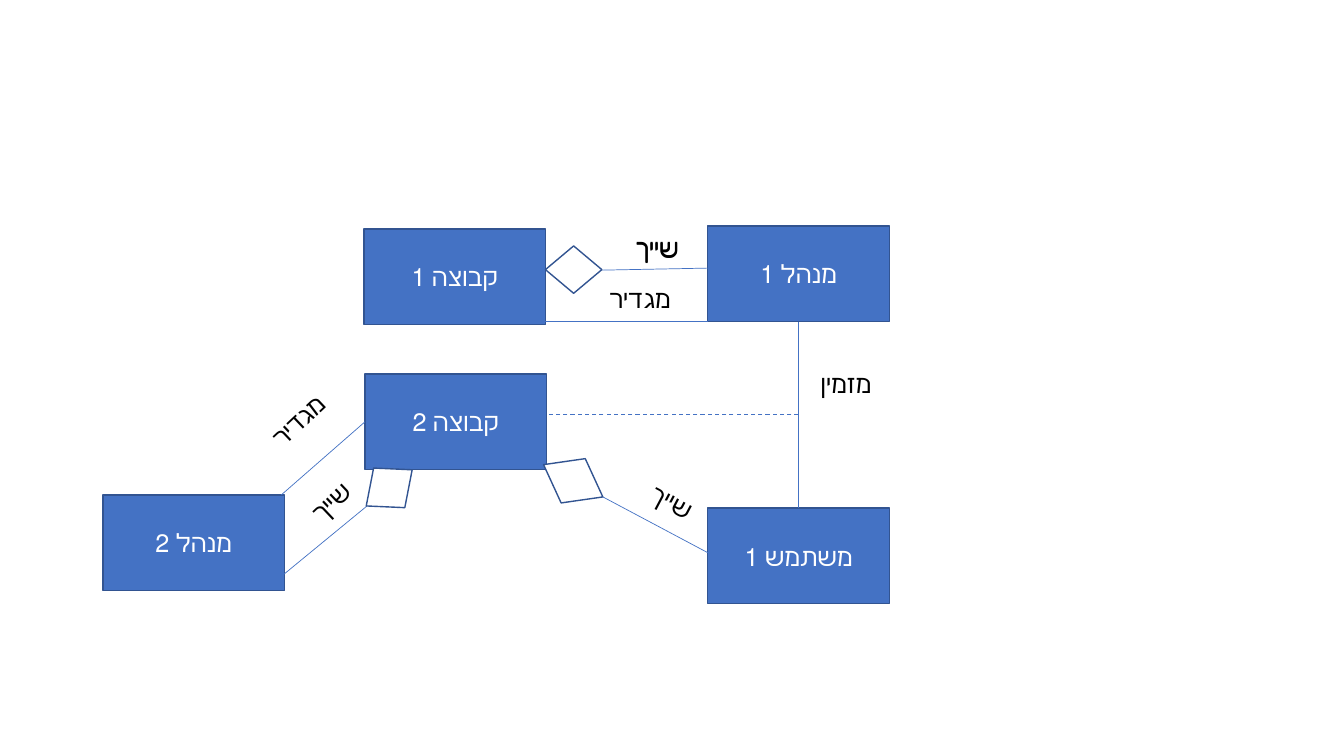
from collections import namedtuple

from pptx import Presentation
from pptx.dml.color import RGBColor
from pptx.enum.dml import MSO_LINE
from pptx.enum.shapes import MSO_CONNECTOR, MSO_SHAPE
from pptx.enum.text import MSO_ANCHOR, MSO_AUTO_SIZE, PP_ALIGN
from pptx.oxml.xmlchemy import OxmlElement
from pptx.util import Inches, Pt

BLUE = RGBColor(0x44, 0x72, 0xC4)
NAVY = RGBColor(0x32, 0x54, 0x91)
WHITE = RGBColor(0xFF, 0xFF, 0xFF)
BLACK = RGBColor(0x00, 0x00, 0x00)
RECT, DIAMOND = MSO_SHAPE.RECTANGLE, MSO_SHAPE.DIAMOND
STRAIGHT, DASH = MSO_CONNECTOR.STRAIGHT, MSO_LINE.DASH
CENTER, RIGHT = PP_ALIGN.CENTER, PP_ALIGN.RIGHT
MIDDLE, FIT_SHAPE = MSO_ANCHOR.MIDDLE, MSO_AUTO_SIZE.SHAPE_TO_FIT_TEXT

ENTITY_W, ENTITY_H = 1.8, 0.95
LABEL_W, LABEL_H = 0.86, 0.4
BELONGS, DEFINES, INVITES = "שייך", "מגדיר", "מזמין"


class Box(namedtuple("Box", "x y")):
    """Top left corner of an entity, with its other edges."""

    @property
    def right(self):
        """Right edge."""
        return self.x + ENTITY_W

    @property
    def bottom(self):
        """Bottom edge."""
        return self.y + ENTITY_H

    @property
    def center(self):
        """Horizontal middle."""
        return self.x + ENTITY_W / 2

    @property
    def middle(self):
        """Vertical middle."""
        return self.y + ENTITY_H / 2


def write(tf, text, color=BLACK, align=RIGHT, size=18, font="Calibri"):
    """Write one right-to-left paragraph in a text frame."""
    tf.word_wrap = True
    p = tf.paragraphs[0]
    p.alignment = align
    p._p.get_or_add_pPr().set("rtl", "1")
    r = p.add_run()
    r.text = text
    r.font.size, r.font.name = Pt(size), font
    r.font.color.rgb = color


def add_figure(slide, kind, x, y, w, h, fill, rotation=0):
    """Add an outlined preset shape."""
    sp = slide.shapes.add_shape(kind, Inches(x), Inches(y), Inches(w), Inches(h))
    sp.shadow.inherit = False
    sp.fill.solid()
    sp.fill.fore_color.rgb = fill
    sp.line.color.rgb = NAVY
    sp.line.width = Pt(1)
    sp.rotation = rotation
    return sp


def add_entity(slide, box, text):
    """Add a blue entity with its name."""
    sp = add_figure(slide, RECT, box.x, box.y, ENTITY_W, ENTITY_H, BLUE)
    sp.text_frame.vertical_anchor = MIDDLE
    write(sp.text_frame, text, color=WHITE, align=CENTER)


def add_link(slide, x1, y1, x2, y2, width=0.5, dash=None):
    """Add a straight blue line."""
    line = slide.shapes.add_connector(
        STRAIGHT, Inches(x1), Inches(y1), Inches(x2), Inches(y2))
    line.line.color.rgb = BLUE
    line.line.width = Pt(width)
    if dash:
        line.line.dash_style = dash
    line._element.spPr.append(OxmlElement("a:effectLst"))


def add_label(slide, x, y, text, width=LABEL_W, rotation=0):
    """Add the name of a relation."""
    sp = slide.shapes.add_textbox(Inches(x), Inches(y), Inches(width), Inches(LABEL_H))
    sp.rotation = rotation
    write(sp.text_frame, text)
    sp.text_frame.auto_size = FIT_SHAPE


def add_first_manager(slide, manager, group):
    """Relate the first manager to the first group."""
    tip = group.right + 0.56
    add_link(slide, manager.x, manager.y + 0.42, tip, group.y + 0.41)
    add_figure(slide, DIAMOND, group.right, group.y + 0.17, 0.56, 0.47, WHITE)
    add_link(slide, manager.x, manager.bottom, group.right, manager.bottom)
    for rise in (0, 0.01):
        add_label(slide, tip, group.y - rise, BELONGS)
    add_label(slide, tip - 0.08, group.y + 0.49, DEFINES)


def add_invitation(slide, manager, user, group):
    """Relate the manager to the invited user, and the invitation to the group."""
    halfway = (manager.bottom + user.y) / 2
    add_link(slide, manager.center, manager.bottom, user.center, user.y)
    add_link(slide, manager.center, halfway, group.right, halfway, width=0.75, dash=DASH)
    add_label(slide, manager.center - 0.04, manager.bottom + 0.42, INVITES)


def add_user(slide, user, group):
    """Relate the user to the second group."""
    add_link(slide, user.x + 0.06, user.middle, group.right + 0.56, group.bottom + 0.27)
    add_figure(slide, DIAMOND, group.right - 0.07, group.bottom - 0.14,
               0.67, 0.5, WHITE, rotation=28.6)
    add_label(slide, user.x - 0.89, user.y - 0.32, BELONGS, rotation=27.8)


def add_second_manager(slide, manager, group):
    """Relate the second manager to the second group."""
    add_link(slide, group.x, group.middle, manager.right - 0.03, manager.y)
    add_link(slide, manager.right - 0.02, manager.y + 0.8, group.x + 0.02, group.bottom + 0.36)
    add_figure(slide, DIAMOND, group.x - 0.05, group.bottom - 0.07,
               0.58, 0.5, WHITE, rotation=141.8)
    for dx, dy, text in ((-0.29, -0.93, DEFINES), (-0.03, -0.06, BELONGS)):
        add_label(slide, manager.right + dx, manager.y + dy, text, width=0.83, rotation=316.6)


def add_diagram(slide):
    """Place the entities and their relations."""
    manager1, user1 = Box(7.02, 2.24), Box(7.02, 5.04)
    group1, group2 = Box(3.61, 2.27), Box(3.62, 3.71)
    manager2 = Box(1.02, 4.91)
    entities = ((manager1, "מנהל 1"), (group1, "קבוצה 1"), (user1, "משתמש 1"),
                (group2, "קבוצה 2"), (manager2, "מנהל 2"))
    for box, text in entities:
        add_entity(slide, box, text)
    add_first_manager(slide, manager1, group1)
    add_invitation(slide, manager1, user1, group2)
    add_user(slide, user1, group2)
    add_second_manager(slide, manager2, group2)


def main():
    """Build and save the presentation."""
    prs = Presentation()
    prs.slide_width, prs.slide_height = Inches(13.33), Inches(7.5)
    add_diagram(prs.slides.add_slide(prs.slide_layouts[6]))
    prs.save("out.pptx")


if __name__ == "__main__":
    main()
